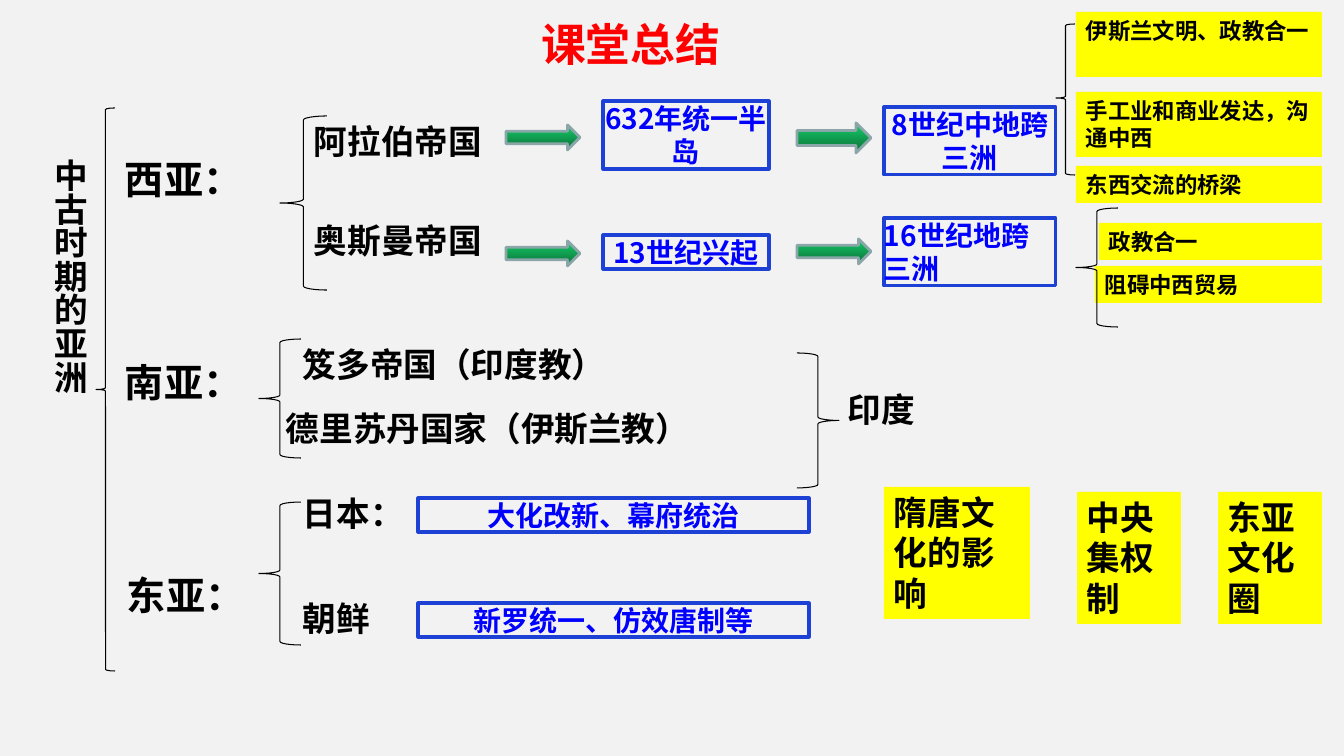
from typing import NamedTuple

from lxml import etree
from pptx import Presentation
from pptx.dml.color import RGBColor
from pptx.enum.shapes import MSO_SHAPE
from pptx.enum.text import MSO_ANCHOR, PP_ALIGN
from pptx.oxml.ns import qn
from pptx.util import Emu, Pt

LEFT_BRACE, RIGHT_BRACE = MSO_SHAPE.LEFT_BRACE, MSO_SHAPE.RIGHT_BRACE
RECTANGLE, RIGHT_ARROW = MSO_SHAPE.RECTANGLE, MSO_SHAPE.RIGHT_ARROW
LEFT, CENTER = PP_ALIGN.LEFT, PP_ALIGN.CENTER
TOP = MSO_ANCHOR.TOP
EMU_PER_PX = 914400 / 100.8
TITLE_ONLY = 5


class Theme:
    background = RGBColor(0xF2, 0xF2, 0xF2)
    ink = RGBColor(0, 0, 0)
    title = RGBColor(0xFF, 0, 0)
    event = RGBColor(0, 0, 0xFF)
    event_line = RGBColor(0x1D, 0x41, 0xD5)
    highlight = RGBColor(0xFF, 0xFF, 0)
    arrow_stops = (RGBColor(0x14, 0xCD, 0x68), RGBColor(0x0B, 0x6E, 0x38))
    arrow_line = RGBColor(0x8A, 0xA6, 0xA8)
    font, cjk_font = "Roboto", "Noto Sans CJK SC"
    title_size, region_size, name_size, event_size, note_size = 32, 28, 24, 20, 16


class Box(NamedTuple):
    x: int
    y: int
    width: int
    height: int

    def inside(self, x, y, width, height):
        return Box(self.x + x, self.y + y, width, height)

    def emu(self):
        return [px(length) for length in self]


def px(length):
    return Emu(round(length * EMU_PER_PX))


def write(shape, text, size, color=Theme.ink, font=Theme.font, align=LEFT):
    frame = shape.text_frame
    frame.word_wrap = True
    frame.vertical_anchor = TOP
    para = frame.paragraphs[0]
    para.text = text
    para.alignment = align
    para.font.size = Pt(size)
    para.font.bold = True
    para.font.color.rgb = color
    para.font.name = font
    defaults = para._p.find(qn("a:pPr")).find(qn("a:defRPr"))
    etree.SubElement(defaults, qn("a:ea")).set("typeface", Theme.cjk_font)


def add_label(page, box, text, size=Theme.name_size):
    label = page.shapes.add_textbox(*box.emu())
    write(label, text, size)
    return label


def add_preset(page, box, kind, line=None, width=0.75):
    """Add an unfilled, shadowless preset shape."""
    shape = page.shapes.add_shape(kind, *box.emu())
    shape.shadow.inherit = False
    shape.fill.background()
    if line is None:
        shape.line.fill.background()
    else:
        shape.line.color.rgb = line
        shape.line.width = Pt(width)
    return shape


def add_brace(page, box, kind=LEFT_BRACE):
    return add_preset(page, box, kind, Theme.ink)


def add_event(page, box, text, align=CENTER):
    event = add_preset(page, box, RECTANGLE, Theme.event_line, 2.25)
    frame = event.text_frame
    frame.margin_left = frame.margin_right = frame.margin_top = frame.margin_bottom = 0
    write(event, text, Theme.event_size, Theme.event, Theme.cjk_font, align)


def add_note(page, box, text, size=Theme.note_size):
    note = add_preset(page, box, RECTANGLE)
    note.fill.solid()
    note.fill.fore_color.rgb = Theme.highlight
    write(note, text, size)


def add_arrow(page, box):
    arrow = add_preset(page, box, RIGHT_ARROW, Theme.arrow_line, 2)
    arrow.fill.gradient()
    arrow.fill.gradient_angle = 270
    for stop, color, position in zip(arrow.fill.gradient_stops, Theme.arrow_stops, (0, 1)):
        stop.color.rgb = color
        stop.position = position


def build_title(page, box):
    title = page.shapes.title
    title.left, title.top, title.width, title.height = box.emu()
    write(title, "课堂总结", Theme.title_size, Theme.title)


def build_root(page, box):
    topic = add_label(page, box.inside(0, 41, 61, 417), "中古时期的亚洲")
    topic.text_frame._txBody.bodyPr.set("vert", "eaVert")
    add_brace(page, box.inside(62, 0, 19, box.height))


def build_west_asia(page, box):
    add_label(page, box.inside(0, 138, 142, 57), "西亚：", Theme.region_size)
    add_brace(page, box.inside(165, 104, 47, 174))
    add_label(page, box.inside(189, 104, 298, 50), "阿拉伯帝国")
    add_label(page, box.inside(189, 203, 214, 50), "奥斯曼帝国")

    for x, y, height in ((391, 113, 25), (682, 111, 30), (391, 229, 25), (682, 227, 25)):
        add_arrow(page, box.inside(x, y, 74, height))

    events = (
        (488, 89, 166, 68, "632年统一半岛", CENTER),
        (769, 95, 172, 68, "8世纪中地跨三洲", CENTER),
        (488, 223, 166, 34, "13世纪兴起", CENTER),
        (769, 206, 172, 68, "16世纪地跨三洲", LEFT),
    )
    for *place, text, align in events:
        add_event(page, box.inside(*place), text, align)

    notes = (
        (961, 0, 65, "伊斯兰文明、政教合一"),
        (961, 80, 65, "手工业和商业发达，沟通中西"),
        (961, 154, 37, "东西交流的桥梁"),
        (980, 254, 37, "阻碍中西贸易"),
        (984, 211, 37, "政教合一"),
    )
    for x, y, height, text in notes:
        add_note(page, box.inside(x, y, box.width - x, height), text)

    arab_brace = add_brace(page, box.inside(941, 12, 19, 151))
    arab_brace.adjustments[1] = 0.49
    add_brace(page, box.inside(961, 196, 42, 119))


def build_south_asia(page, box):
    add_label(page, box.inside(0, 14, 142, 57), "南亚：", Theme.region_size)
    add_brace(page, box.inside(144, 0, 42, 119))
    add_label(page, box.inside(178, 0, 393, 50), "笈多帝国（印度教）")
    add_label(page, box.inside(161, 64, 429, 50), "德里苏丹国家（伊斯兰教）")
    add_brace(page, box.inside(682, 14, 42, 135), RIGHT_BRACE)
    add_label(page, box.inside(723, 45, 190, 50), "印度")


def build_east_asia(page, box):
    add_label(page, box.inside(2, 79, 142, 57), "东亚：", Theme.region_size)
    add_brace(page, box.inside(144, 15, 42, 143))
    countries = ((1, "日本：", "大化改新、幕府统治"), (106, "朝鲜", "新罗统一、仿效唐制等"))
    for y, country, event in countries:
        add_label(page, box.inside(178, y, 190, 50), country)
        add_event(page, box.inside(303, y + 10, 391, 34), event)

    notes = ((769, 0, 146, "隋唐文化的影响"), (962, 5, 104, "中央集权制"), (1103, 5, 104, "东亚文化圈"))
    for x, y, width, text in notes:
        add_note(page, box.inside(x, y, width, 132), text, Theme.name_size)


def main():
    deck = Presentation()
    deck.slide_width, deck.slide_height = px(1344), px(756)
    page = deck.slides.add_slide(deck.slide_layouts[TITLE_ONLY])
    page.background.fill.solid()
    page.background.fill.fore_color.rgb = Theme.background
    build_title(page, Box(531, 12, 367, 65))
    build_root(page, Box(34, 108, 81, 563))
    build_west_asia(page, Box(115, 12, 1207, 315))
    build_south_asia(page, Box(115, 339, 913, 149))
    build_east_asia(page, Box(115, 487, 1207, 158))
    deck.save("out.pptx")


if __name__ == "__main__":
    main()
